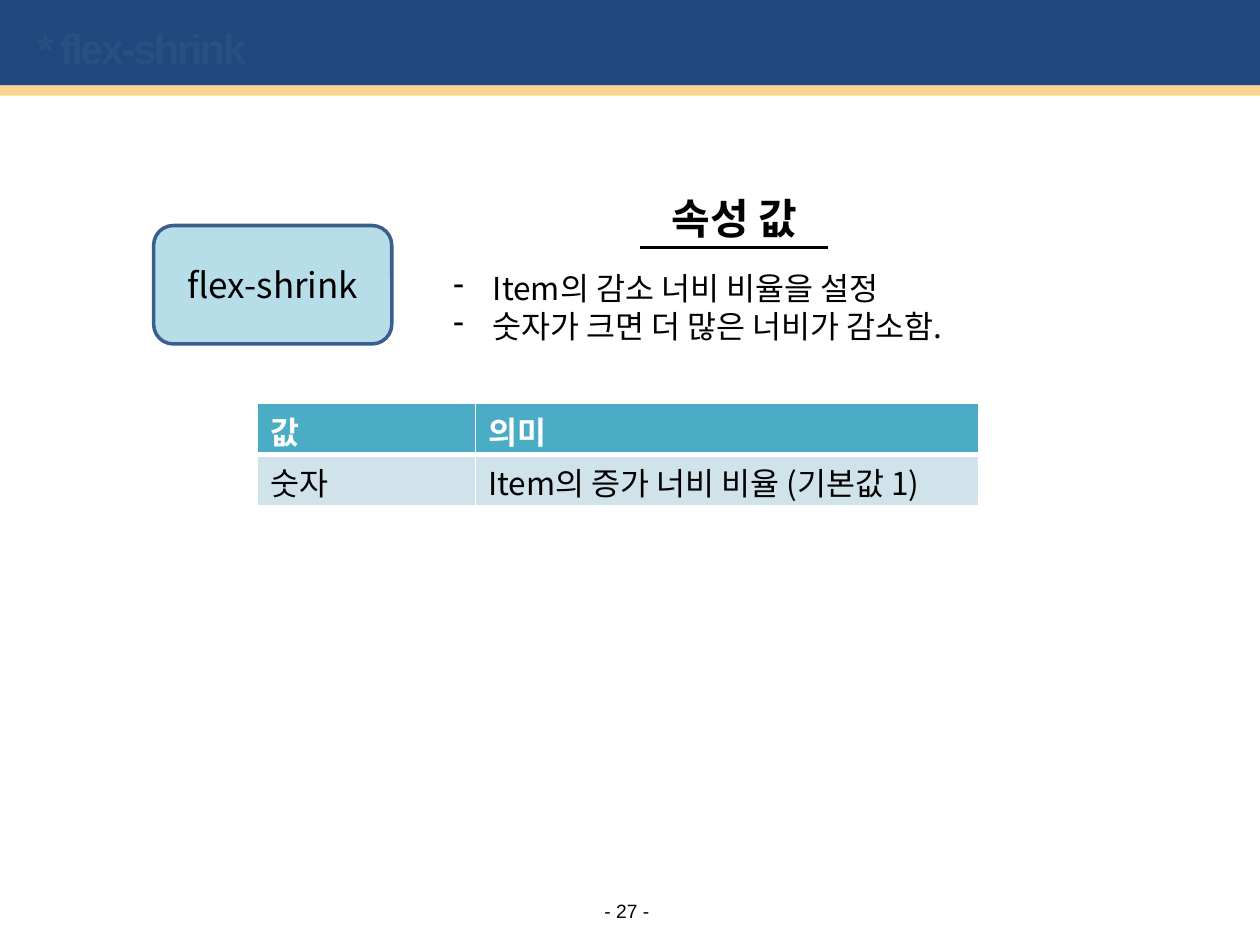
from lxml.etree import SubElement
from pptx import Presentation
from pptx.dml.color import RGBColor
from pptx.enum.shapes import MSO_CONNECTOR, MSO_SHAPE
from pptx.enum.text import MSO_ANCHOR, PP_ALIGN
from pptx.oxml.ns import qn
from pptx.util import Pt

COLORS = {
    "navy": "1F497D", "sand": "F9D490", "faint": "2A5083",
    "sky": "B7DEE8", "outline": "3A5F8C", "teal": "4BACC6",
    "pale": "D0E3EA", "black": "000000", "white": "FFFFFF",
}
KOREAN = "Noto Sans CJK KR"


def rgb(name):
    return RGBColor.from_string(COLORS[name])


def write(frame, *lines, size=18, font=KOREAN, color="black", bold=False,
          align=PP_ALIGN.LEFT, leading=None, bullet=None, tracking=None):
    """Fill a text frame with one paragraph per line; leading is in points."""
    frame.word_wrap = True
    for index, line in enumerate(lines):
        paragraph = frame.paragraphs[0] if index == 0 else frame.add_paragraph()
        paragraph.alignment = align
        if leading:
            paragraph.line_spacing = Pt(leading)
        if bullet:
            properties = paragraph._p.get_or_add_pPr()
            properties.set("marL", str(Pt(22.5)))
            properties.set("indent", str(-Pt(22.5)))
            SubElement(properties, qn("a:buChar"), char=bullet)
        run = paragraph.add_run()
        run.text = line
        run.font.size = Pt(size)
        run.font.bold = bold
        run.font.color.rgb = rgb(color)
        run.font.name = font
        SubElement(run._r.get_or_add_rPr(), qn("a:ea"), typeface=font)
        if tracking:
            run._r.get_or_add_rPr().set("spc", str(round(tracking * 100)))


def add_text(slide, left, top, width, height, *lines, **text_format):
    box = slide.shapes.add_textbox(Pt(left), Pt(top), Pt(width), Pt(height))
    write(box.text_frame, *lines, **text_format)
    return box.text_frame


def add_panel(slide, kind, left, top, width, height, fill, outline=None):
    panel = slide.shapes.add_shape(kind, Pt(left), Pt(top), Pt(width), Pt(height))
    panel.shadow.inherit = False
    panel.fill.solid()
    panel.fill.fore_color.rgb = rgb(fill)
    if outline:
        panel.line.color.rgb = rgb(outline)
        panel.line.width = Pt(2)
    else:
        panel.line.fill.background()
    return panel


def add_header(slide, left, top, width, height, heading):
    stripe = 5.8
    add_panel(slide, MSO_SHAPE.RECTANGLE, left, top, width, height - stripe, "navy")
    add_panel(slide, MSO_SHAPE.RECTANGLE, left, top + height - stripe, width, stripe, "sand")
    title = slide.shapes.title
    title.left, title.top = Pt(left + 14), Pt(top + 10)
    title.width, title.height = Pt(width - 28), Pt(38)
    title.text_frame.vertical_anchor = MSO_ANCHOR.MIDDLE
    write(title.text_frame, heading, size=24, font="Arial", color="faint",
          bold=True, tracking=-1.5)
    slide.shapes._spTree.append(title._element)  # bring above the band


def add_property(slide, left, top, width, height, name):
    panel = add_panel(slide, MSO_SHAPE.ROUNDED_RECTANGLE, left, top, width, height,
                      "sky", "outline")
    panel.text_frame.vertical_anchor = MSO_ANCHOR.MIDDLE
    write(panel.text_frame, name, size=20, align=PP_ALIGN.CENTER)


def add_description(slide, left, top, width, height, heading, points):
    add_text(slide, left + 28.8, top, 278, 36, heading, size=24, bold=True,
             align=PP_ALIGN.CENTER, leading=30)
    add_text(slide, left, top + 45, width, height - 45, *points, bullet="-",
             leading=21.7)
    rule_y = Pt(top + 36.5)
    underline = slide.shapes.add_connector(
        MSO_CONNECTOR.STRAIGHT, Pt(left + 113.8), rule_y, Pt(left + 221), rule_y)
    underline.line.color.rgb = rgb("black")
    underline.line.width = Pt(1.5)
    SubElement(underline._element.spPr, qn("a:effectLst"))


def set_borders(cell, **widths):
    properties = cell._tc.get_or_add_tcPr()
    for position, (side, width) in enumerate(widths.items()):
        border = properties.makeelement(qn(f"a:{side}"), {"w": str(Pt(width))})
        fill = SubElement(border, qn("a:solidFill"))
        SubElement(fill, qn("a:srgbClr"), val=COLORS["white"])
        properties.insert(position, border)


def add_values(slide, left, top, column_widths, row_height, rows):
    table = slide.shapes.add_table(
        len(rows), len(column_widths), Pt(left), Pt(top),
        Pt(sum(column_widths)), Pt(row_height * len(rows))).table
    for column, width in zip(table.columns, column_widths):
        column.width = Pt(width)
    for row_index, texts in enumerate(rows):
        is_head = row_index == 0
        table.rows[row_index].height = Pt(row_height)
        for column_index, text in enumerate(texts):
            cell = table.cell(row_index, column_index)
            cell.margin_top, cell.margin_bottom = Pt(7), Pt(0)
            cell.fill.solid()
            cell.fill.fore_color.rgb = rgb("teal" if is_head else "pale")
            write(cell.text_frame, text, bold=is_head, leading=21.7,
                  color="white" if is_head else "black")
            set_borders(cell, lnL=1, lnR=1, lnT=1 if is_head else 3,
                        lnB=3 if is_head else 1)


def add_page_number(slide, left, top, width, height, number):
    frame = add_text(slide, left, top, width, height, f"- {number} -", size=11,
                     font="Arial", align=PP_ALIGN.CENTER)
    frame.margin_left = frame.margin_right = frame.margin_top = frame.margin_bottom = 0
    frame.vertical_anchor = MSO_ANCHOR.MIDDLE
    frame.word_wrap = False


def main():
    deck = Presentation()
    deck.slide_width, deck.slide_height = Pt(720), Pt(540)
    slide = deck.slides.add_slide(deck.slide_layouts[5])
    add_header(slide, 0, -2, 720, 56.7, "* flex-shrink")
    add_property(slide, 87.8, 128.9, 136.1, 67.7, "flex-shrink")
    add_description(slide, 252, 105.1, 351.4, 96, "속성 값",
                    ["Item의 감소 너비 비율을 설정", "숫자가 크면 더 많은 너비가 감소함."])
    add_values(slide, 147.2, 230.4, [124.6, 287.3], 29.2,
               [["값", "의미"], ["숫자", "Item의 증가 너비 비율 (기본값 1)"]])
    add_page_number(slide, 342.7, 513.4, 31, 13.7, 27)
    deck.save("out.pptx")


if __name__ == "__main__":
    main()
